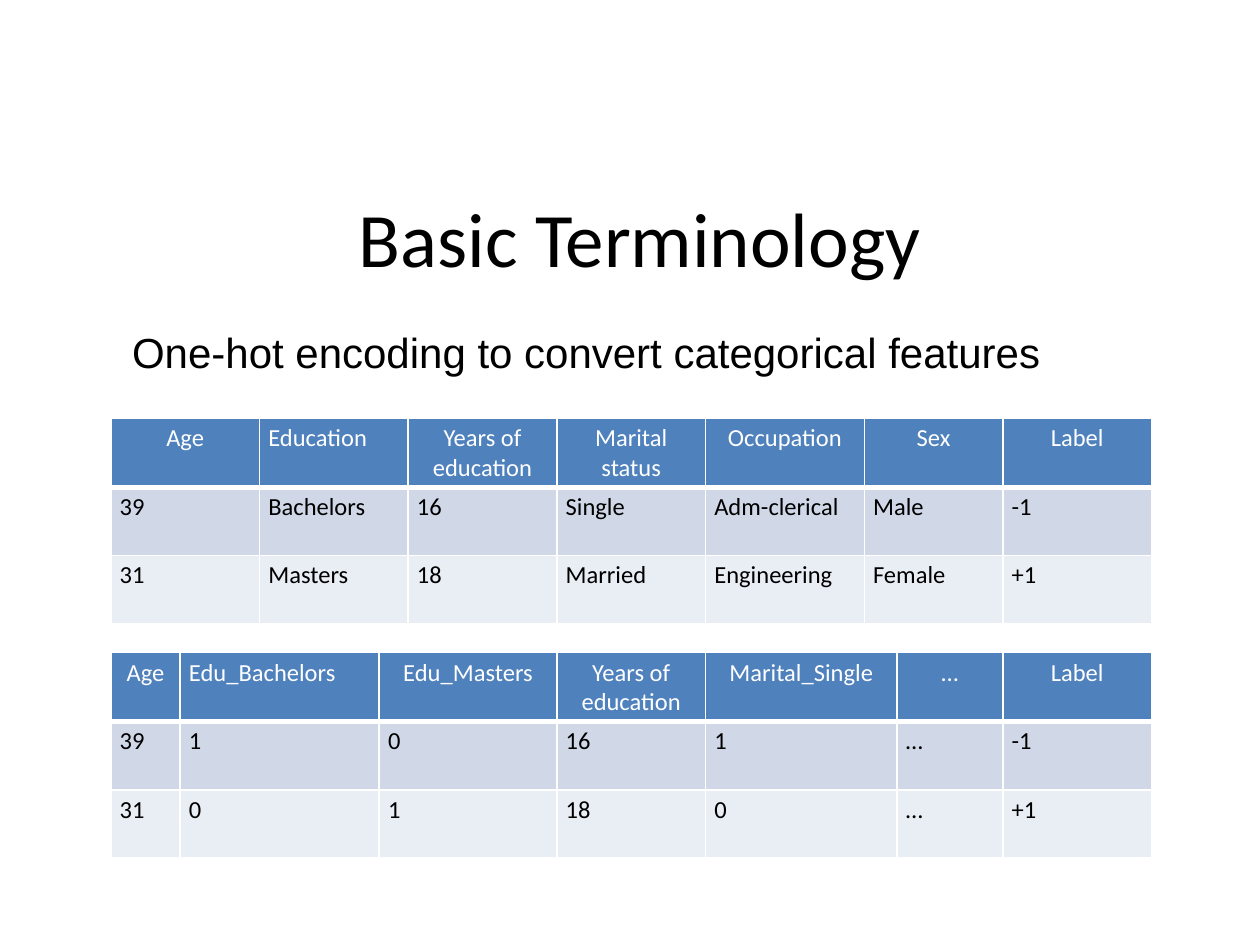
import pptx
import pptx.dml.color
import pptx.enum.text
import pptx.oxml
import pptx.oxml.ns
import pptx.util

ALIGN = pptx.enum.text.PP_ALIGN
MID = pptx.enum.text.MSO_ANCHOR.MIDDLE
FILLS = ["4F81BD", "D0D8E8", "E9EDF4"]
WHITE, BLACK = "FFFFFF", "000000"

deck = pptx.Presentation()
deck.slide_width = pptx.util.Inches(10)
deck.slide_height = pptx.util.Inches(7.5)


def color(code):
    return pptx.dml.color.RGBColor.from_string(code)


def scale(box):
    sides = (deck.slide_width, deck.slide_height) * 2
    return [round(side * part / 100) for side, part in zip(sides, box)]


def write(frame, text, size, face, ink, align):
    frame.text = text
    para = frame.paragraphs[0]
    para.alignment = align
    font = para.runs[0].font
    font.size = pptx.util.Pt(size)
    font.name = face
    font.color.rgb = color(ink)


def title(slide, box, text):
    shape = slide.shapes.title
    shape.left, shape.top, shape.width, shape.height = scale(box)
    shape.text_frame.vertical_anchor = MID
    write(shape.text_frame, text, 44, "Calibri", BLACK, ALIGN.CENTER)


def lead(slide, box, text):
    frame = slide.shapes.add_textbox(*scale(box)).text_frame
    frame.word_wrap = True
    frame.vertical_anchor = MID
    write(frame, text, 24, "Arial", BLACK, ALIGN.LEFT)


def border(cell):
    props = cell._tc.get_or_add_tcPr()
    space = pptx.oxml.ns.nsdecls("a")
    for spot, (side, points) in enumerate(zip("LRTB", (1, 1, 1, 3))):
        line = pptx.oxml.parse_xml(
            f'<a:ln{side} {space} w="{pptx.util.Pt(points)}"><a:solidFill>'
            f'<a:srgbClr val="{WHITE}"/></a:solidFill></a:ln{side}>')
        props.insert(spot, line)


def grid(slide, box, widths, rows):
    left, top, width, height = scale(box)
    table = slide.shapes.add_table(
        len(rows), len(widths), left, top, width, height).table
    for column, share in zip(table.columns, widths):
        column.width = round(width * share / sum(widths))
    for r, row in enumerate(rows):
        for c, text in enumerate(row):
            cell = table.cell(r, c)
            cell.fill.solid()
            cell.fill.fore_color.rgb = color(FILLS[r])
            cell.margin_left = cell.margin_right = pptx.util.Inches(0.07)
            cell.margin_top = cell.margin_bottom = pptx.util.Inches(0.04)
            head = r == 0
            align = ALIGN.CENTER if head and c != 1 else ALIGN.LEFT
            write(cell.text_frame, text, 14, "Calibri",
                  WHITE if head else BLACK, align)
            cell.text_frame.paragraphs[0].font.bold = False
            cell.text_frame.paragraphs[0].runs[0].font.bold = False
            if head:
                border(cell)


def main():
    slide = deck.slides.add_slide(deck.slide_layouts[5])
    title(slide, (5.8, 16.67, 90, 16.67), "Basic Terminology")
    lead(slide, (9.5, 33.33, 90, 7.73),
         "One-hot encoding to convert categorical features")
    grid(slide, (8.8, 44.27, 82.6, 21.7),
         [1.18, 1.18, 1.18, 1.18, 1.26, 1.1, 1.18],
         [["Age", "Education", "Years of education", "Marital status",
           "Occupation", "Sex", "Label"],
          ["39", "Bachelors", "16", "Single", "Adm-clerical", "Male", "-1"],
          ["31", "Masters", "18", "Married", "Engineering", "Female", "+1"]])
    grid(slide, (8.8, 69.07, 82.6, 21.7),
         [0.55, 1.58, 1.41, 1.18, 1.52, 0.84, 1.18],
         [["Age", "Edu_Bachelors", "Edu_Masters", "Years of education",
           "Marital_Single", "…", "Label"],
          ["39", "1", "0", "16", "1", "…", "-1"],
          ["31", "0", "1", "18", "0", "…", "+1"]])
    deck.save("out.pptx")


if __name__ == "__main__":
    main()
